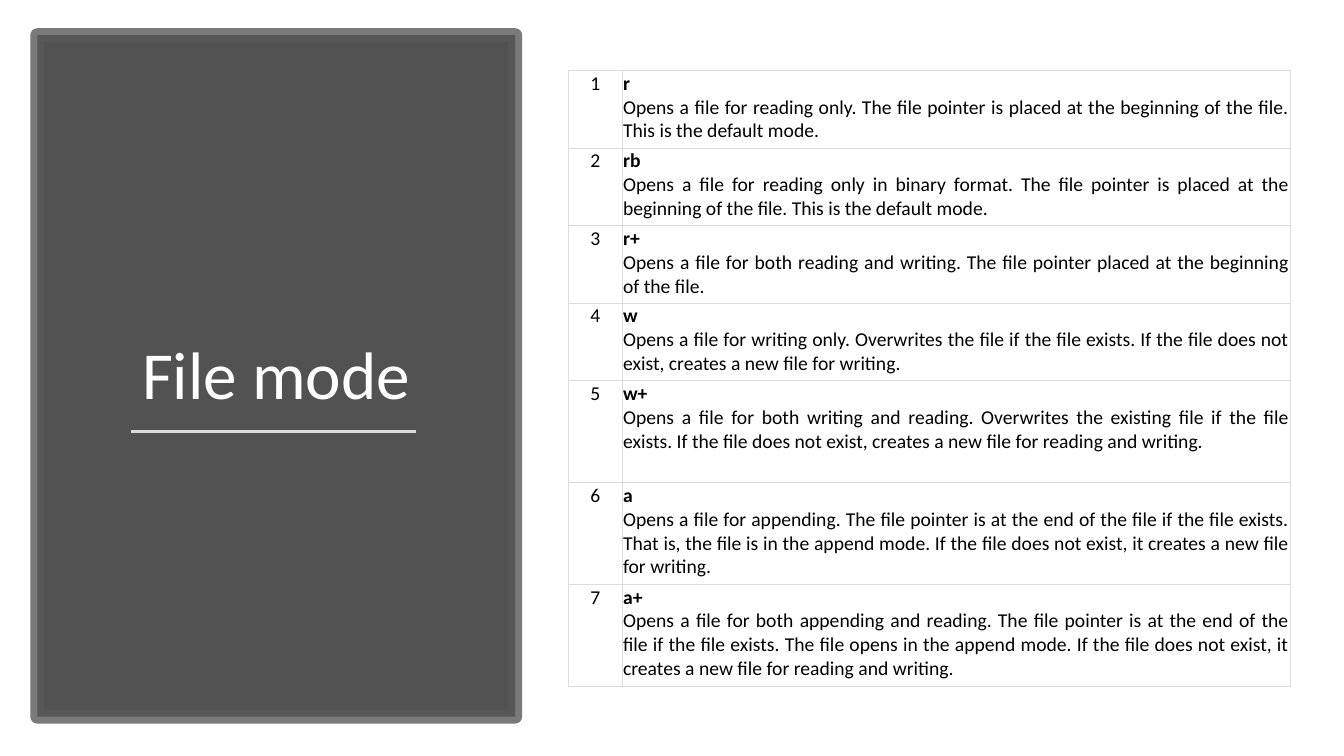
from lxml import etree
from pptx import Presentation
from pptx.dml.color import RGBColor
from pptx.enum.shapes import MSO_CONNECTOR, MSO_SHAPE
from pptx.enum.text import MSO_ANCHOR, MSO_AUTO_SIZE, PP_ALIGN
from pptx.oxml import parse_xml
from pptx.oxml.ns import qn
from pptx.util import Inches, Pt

RECT = MSO_SHAPE.RECTANGLE
STRAIGHT = MSO_CONNECTOR.STRAIGHT
BOTTOM = MSO_ANCHOR.BOTTOM
NO_FIT = MSO_AUTO_SIZE.NONE
CENTER, JUSTIFY = PP_ALIGN.CENTER, PP_ALIGN.JUSTIFY
NS = "http://schemas.openxmlformats.org/drawingml/2006/main"

MODES = [
    ("r", 0.77, "Opens a file for reading only. The file pointer is placed at "
     "the beginning of the file. This is the default mode."),
    ("rb", 0.77, "Opens a file for reading only in binary format. The file "
     "pointer is placed at the beginning of the file. This is the default mode."),
    ("r+", 0.77, "Opens a file for both reading and writing. The file pointer "
     "placed at the beginning of the file."),
    ("w", 0.77, "Opens a file for writing only. Overwrites the file if the file "
     "exists. If the file does not exist, creates a new file for writing."),
    ("w+", 1.01, "Opens a file for both writing and reading. Overwrites the "
     "existing file if the file exists. If the file does not exist, creates a "
     "new file for reading and writing."),
    ("a", 1.01, "Opens a file for appending. The file pointer is at the end of "
     "the file if the file exists. That is, the file is in the append mode. If "
     "the file does not exist, it creates a new file for writing."),
    ("a+", 1.01, "Opens a file for both appending and reading. The file pointer "
     "is at the end of the file if the file exists. The file opens in the append "
     "mode. If the file does not exist, it creates a new file for reading and "
     "writing."),
]


def color(code):
    return RGBColor.from_string(code)


def assign(item, values):
    for name, value in values.items():
        setattr(item, name, value)


def fade(parent, percent):
    """Make the parent's solid fill opaque to the given percent."""
    fill = parent.find(qn("a:solidFill"))
    etree.SubElement(fill[0], qn("a:alpha"), val=str(percent * 1000))


class Deck:
    """Holds the text style and the current slide."""
    font = "Calibri"
    inset = Inches(0.01)

    def __init__(self, slide):
        self.shapes = slide.shapes

    def text(self, para, words, size, ink, align, bold=False):
        para.alignment = align
        run = para.add_run()
        run.text = words
        assign(run.font, {"name": self.font, "size": Pt(size), "bold": bold})
        run.font.color.rgb = color(ink)

    def panel(self, box, fill, line, width):
        shape = self.shapes.add_shape(RECT, *map(Inches, box))
        shape.shadow.inherit = False
        shape.fill.solid()
        shape.fill.fore_color.rgb = color(fill)
        shape.line.color.rgb = color(line)
        shape.line.width = Pt(width)
        props = shape.element.spPr
        fade(props, 90)
        fade(props.find(qn("a:ln")), 80)
        self.shapes.title.element.addprevious(shape.element)

    def title(self, box, words, size, ink):
        shape = self.shapes.title
        names = ("left", "top", "width", "height")
        assign(shape, dict(zip(names, map(Inches, box))))
        frame = shape.text_frame
        assign(frame, {"vertical_anchor": BOTTOM, "word_wrap": True,
                       "auto_size": NO_FIT})
        para = frame.paragraphs[0]
        para.line_spacing = 0.9
        self.text(para, words, size, ink, CENTER)

    def rule(self, ends, ink, width):
        line = self.shapes.add_connector(STRAIGHT, *map(Inches, ends))
        line.line.color.rgb = color(ink)
        line.line.width = Pt(width)
        etree.SubElement(line.element.spPr, qn("a:effectLst"))

    def cell(self, cell, edge):
        """Clear the fill, tighten the margins and draw all four borders."""
        cell.fill.background()
        sides = ("left", "right", "top", "bottom")
        assign(cell, {f"margin_{side}": self.inset for side in sides})
        props = cell._tc.get_or_add_tcPr()
        for spot, side in enumerate("LRTB"):
            props.insert(spot, parse_xml(
                f'<a:ln{side} xmlns:a="{NS}" w="{Pt(0.75)}"><a:solidFill>'
                f'<a:srgbClr val="{edge}"/></a:solidFill></a:ln{side}>'))

    def table(self, left, top, widths, rows, size, ink, edge):
        high = sum(row[1] for row in rows)
        box = map(Inches, (left, top, sum(widths), high))
        grid = self.shapes.add_table(len(rows), len(widths), *box).table
        assign(grid, {"first_row": False, "horz_banding": False})
        for column, width in zip(grid.columns, widths):
            column.width = Inches(width)
        for index, (mode, height, note) in enumerate(rows):
            grid.rows[index].height = Inches(height)
            number, body = grid.rows[index].cells
            for cell in (number, body):
                self.cell(cell, edge)
            self.text(number.text_frame.paragraphs[0], str(index + 1),
                      size, ink, CENTER)
            frame = body.text_frame
            self.text(frame.paragraphs[0], mode, size, ink, JUSTIFY, True)
            self.text(frame.add_paragraph(), note, size, ink, JUSTIFY)


def main():
    show = Presentation()
    show.slide_width, show.slide_height = Inches(13.33), Inches(7.5)
    deck = Deck(show.slides.add_slide(show.slide_layouts[5]))
    deck.panel((0.37, 0.35, 4.74, 6.76), "404040", "595959", 10)
    deck.title((0.74, 1, 4, 3.16), "File mode", 48, "FFFFFF")
    deck.rule((1.3, 4.28, 4.13, 4.28), "D9D9D9", 1.75)
    deck.table(5.64, 0.7, (0.53, 6.63), MODES, 14, "000000", "DDDDDD")
    show.save("out.pptx")


if __name__ == "__main__":
    main()
